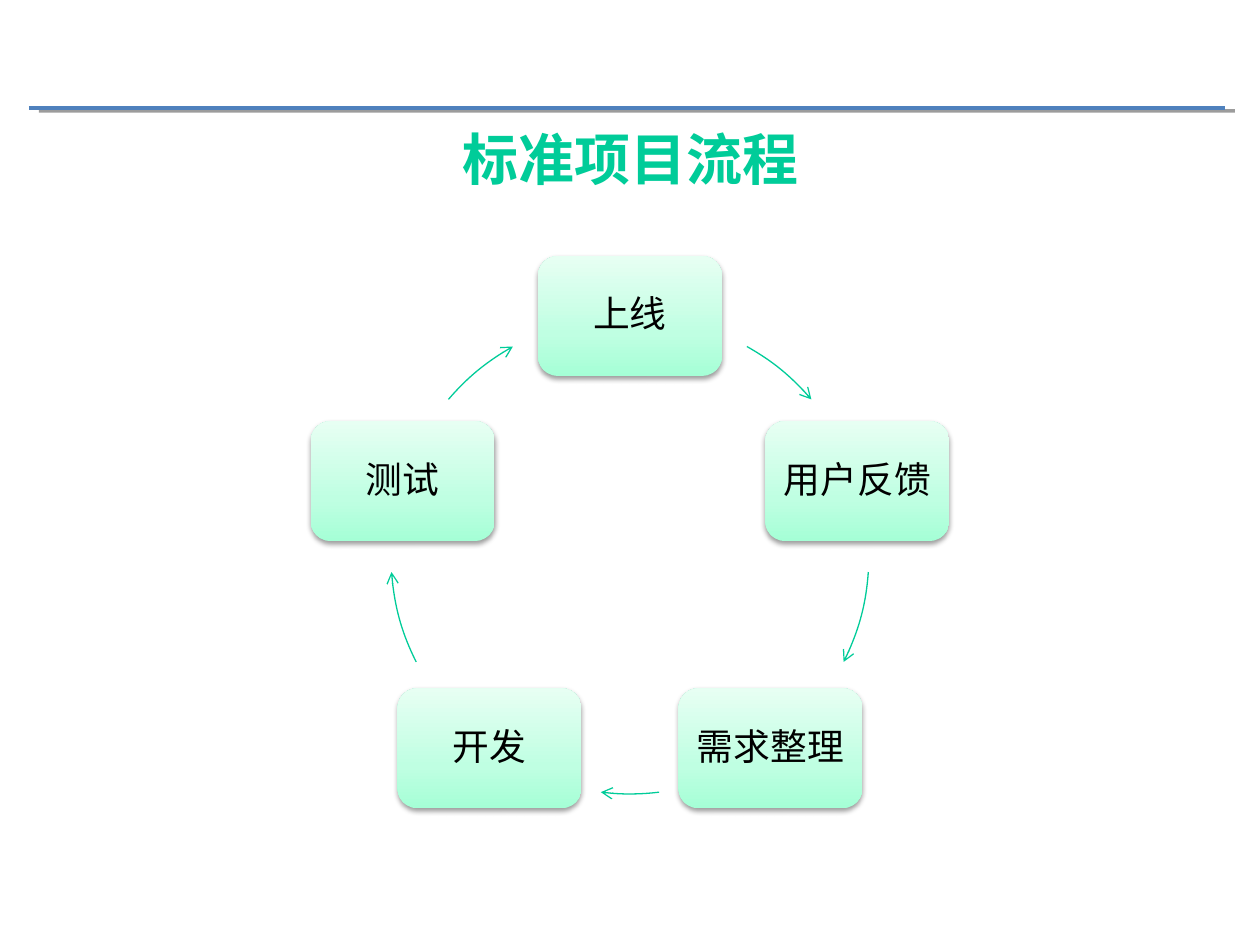
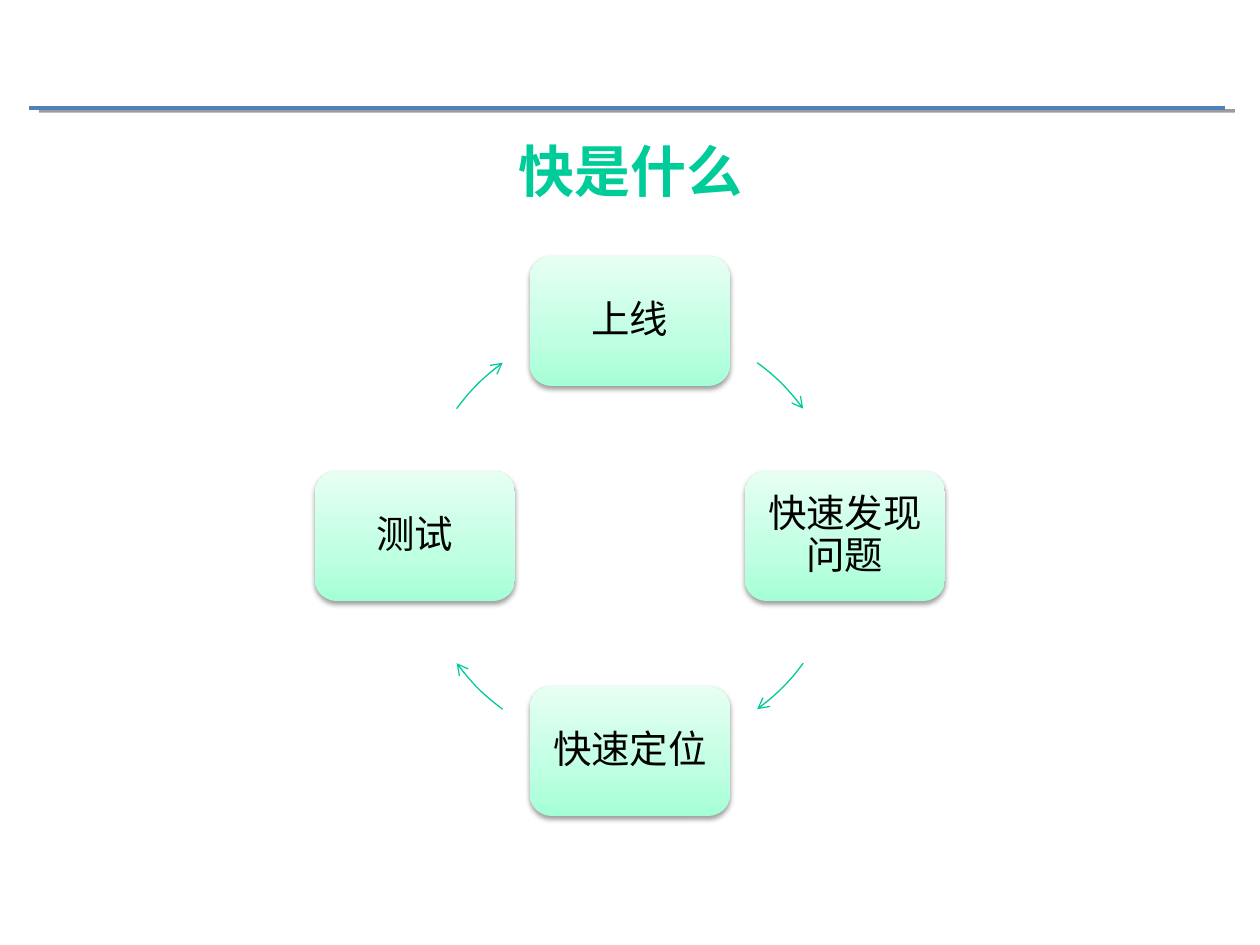
"""Build two slides that each show a project cycle as boxes on a ring."""
from copy import deepcopy
from dataclasses import dataclass
from math import cos, radians, sin

from lxml.etree import SubElement
from pptx import Presentation
from pptx.dml.color import RGBColor
from pptx.enum.shapes import MSO_CONNECTOR, MSO_SHAPE
from pptx.enum.text import MSO_ANCHOR, PP_ALIGN
from pptx.oxml.ns import qn
from pptx.util import Emu, Pt

PX_PER_INCH = 126
EMU_PER_PX = 914400 / PX_PER_INCH
FONT = "Roboto"
GREEN = RGBColor(0x00, 0xCC, 0x99)
BLUE = RGBColor(0x4F, 0x81, 0xBD)
BLACK = RGBColor(0x00, 0x00, 0x00)
BOX_STOPS = (
    (0, RGBColor(0xA5, 0xFF, 0xD6)),
    (0.35, RGBColor(0xBF, 0xFF, 0xE2)),
    (1, RGBColor(0xE7, 0xFF, 0xF3)),
)
CENTER_X = 630


@dataclass(frozen=True)
class Shadow:
    """A soft shadow: blur and distance in points, direction in degrees."""
    blur: float
    distance: float
    direction: int


@dataclass(frozen=True)
class Cycle:
    """A titled ring of steps; arcs are clock angles from the top."""
    title: str
    title_top: int
    center_y: int
    radius: int
    box_width: int
    box_height: int
    font_size: int
    steps: tuple[str, ...]
    arcs: tuple[tuple[float, float], ...]


RULE_SHADOW = Shadow(0, 5.9, 16)
BOX_SHADOW = Shadow(3.1, 1.6, 90)
CYCLES = (
    Cycle("标准项目流程", 110, 555, 239, 184, 120, 21,
          ("上线", "用户反馈", "需求整理", "开发", "测试"),
          ((29.3, 49.4), (94.1, 116.6), (173, 187), (243.4, 265.9), (310.6, 330.7))),
    Cycle("快是什么", 122, 536, 215, 200, 130, 22,
          ("上线", "快速发现问题", "快速定位", "测试"),
          tuple((36.3 + turn, 53.7 + turn) for turn in range(0, 360, 90))),
)


def px(length: float) -> Emu:
    """Turn pixels into EMU."""
    return Emu(round(length * EMU_PER_PX))


def add_shadow(effects, shadow: Shadow) -> None:
    """Put a black outer shadow into an effect list."""
    outer = SubElement(effects, qn("a:outerShdw"), blurRad=str(Pt(shadow.blur)),
                       dist=str(Pt(shadow.distance)),
                       dir=str(shadow.direction * 60000), rotWithShape="0")
    color = SubElement(outer, qn("a:srgbClr"), val=str(BLACK))
    SubElement(color, qn("a:alpha"), val="38000")


def add_rule(slide) -> None:
    """Draw the blue rule at the top of a slide."""
    rule = slide.shapes.add_connector(
        MSO_CONNECTOR.STRAIGHT, px(29), px(108), px(1225), px(108))
    rule.line.color.rgb = BLUE
    rule.line.width = Pt(2)
    properties = rule._element.spPr
    add_shadow(SubElement(properties, qn("a:effectLst")), RULE_SHADOW)


def set_title(slide, text: str, top: int) -> None:
    """Fill, place and format the title placeholder."""
    title = slide.shapes.title
    title.left, title.top, title.width, title.height = px(64), px(top), px(1134), px(97)
    frame = title.text_frame
    frame.text = text
    frame.vertical_anchor = MSO_ANCHOR.MIDDLE
    heading = frame.paragraphs[0]
    heading.alignment = PP_ALIGN.CENTER
    heading.font.name = FONT
    heading.font.size = Pt(32)
    heading.font.bold = True
    heading.font.color.rgb = GREEN


def add_step(slide, cycle: Cycle, label: str, angle: float) -> None:
    """Draw one step box centred on the ring at a clock angle."""
    x = CENTER_X + cycle.radius * sin(radians(angle))
    y = cycle.center_y - cycle.radius * cos(radians(angle))
    width, height = cycle.box_width, cycle.box_height
    step = slide.shapes.add_shape(
        MSO_SHAPE.ROUNDED_RECTANGLE,
        px(x - width / 2), px(y - height / 2), px(width), px(height))
    step.fill.gradient()
    step.fill.gradient_angle = 90
    stops = step._element.spPr.find(qn("a:gradFill")).find(qn("a:gsLst"))
    stops.append(deepcopy(stops[0]))
    for stop, (position, color) in zip(step.fill.gradient_stops, BOX_STOPS):
        stop.position = position
        stop.color.rgb = color
    step.line.fill.background()
    step.shadow.inherit = False
    add_shadow(step._element.spPr.find(qn("a:effectLst")), BOX_SHADOW)
    frame = step.text_frame
    frame.word_wrap = True
    frame.vertical_anchor = MSO_ANCHOR.MIDDLE
    frame.margin_left = frame.margin_right = px(6)
    frame.margin_top = frame.margin_bottom = px(11)
    frame.text = label
    caption = frame.paragraphs[0]
    caption.alignment = PP_ALIGN.CENTER
    caption.line_spacing = 0.9
    caption.font.name = FONT
    caption.font.size = Pt(cycle.font_size)
    caption.font.color.rgb = BLACK


def add_arc(slide, cycle: Cycle, start: float, end: float) -> None:
    """Draw an arrow along the ring between two clock angles."""
    diameter = px(2 * cycle.radius)
    arc = slide.shapes.add_shape(
        MSO_SHAPE.ARC, px(CENTER_X - cycle.radius),
        px(cycle.center_y - cycle.radius), diameter, diameter)
    for index, angle in enumerate((start, end)):
        arc.adjustments[index] = (angle - 90) % 360 * 0.6
    arc.fill.background()
    arc.line.color.rgb = GREEN
    arc.line.width = Pt(0.75)
    arc.shadow.inherit = False
    SubElement(arc.line._get_or_add_ln(), qn("a:tailEnd"), type="arrow")


def build_slide(deck, cycle: Cycle) -> None:
    """Add one slide with its rule, title, steps and arrows."""
    slide = deck.slides.add_slide(deck.slide_layouts[5])
    add_rule(slide)
    set_title(slide, cycle.title, cycle.title_top)
    for index, (label, arc) in enumerate(zip(cycle.steps, cycle.arcs)):
        add_step(slide, cycle, label, index * 360 / len(cycle.steps))
        add_arc(slide, cycle, *arc)


def main() -> None:
    """Build and save the presentation."""
    deck = Presentation()
    deck.slide_width, deck.slide_height = px(1260), px(945)
    for cycle in CYCLES:
        build_slide(deck, cycle)
    deck.save("out.pptx")


main()
